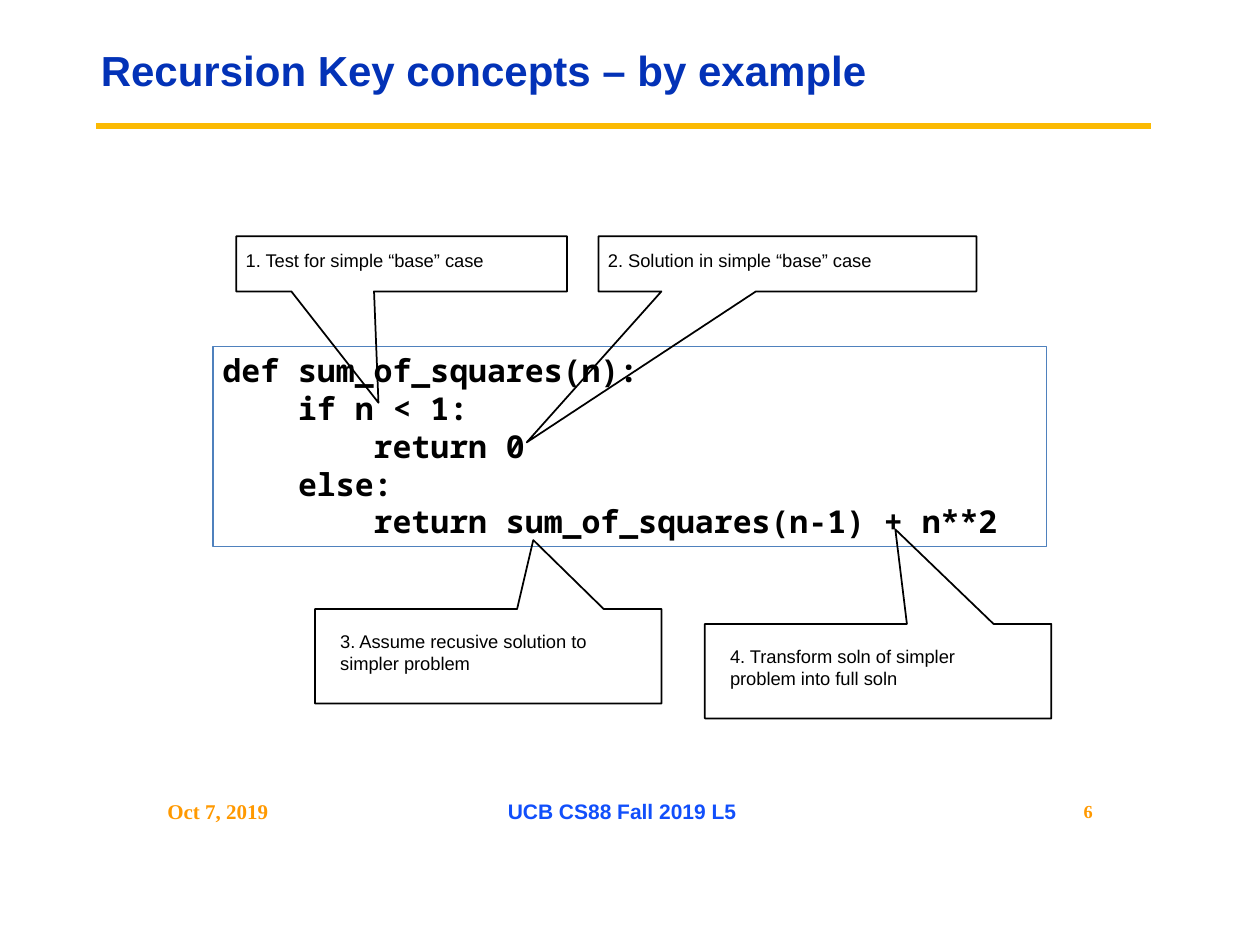
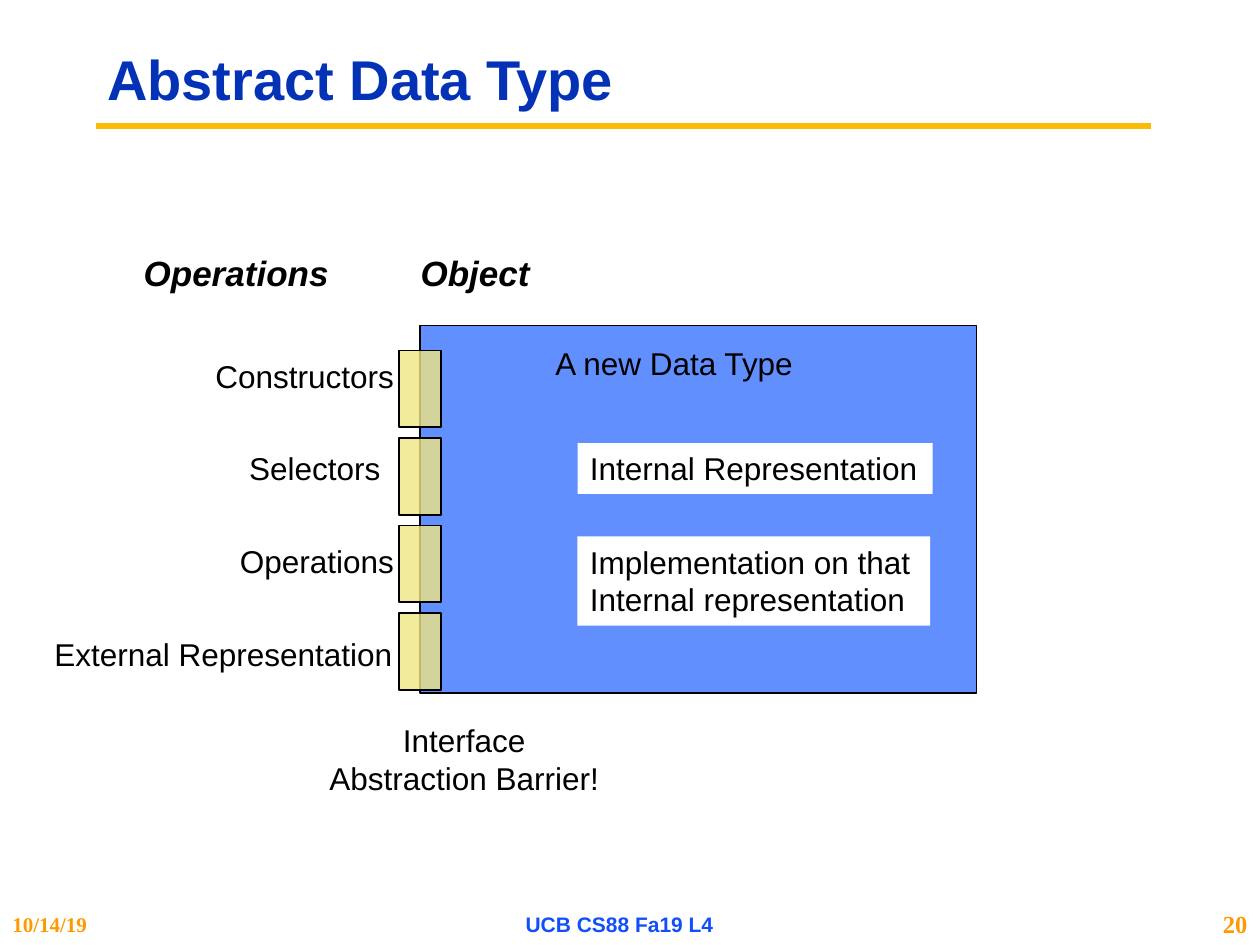
import dataclasses
import pptx
import pptx.dml.color
import pptx.enum.shapes
import pptx.enum.text
import pptx.oxml
import pptx.oxml.ns
import pptx.util

Pt = pptx.util.Pt
Kind = pptx.enum.shapes.MSO_SHAPE
Align = pptx.enum.text.PP_ALIGN
Anchor = pptx.enum.text.MSO_ANCHOR


@dataclasses.dataclass(frozen=True)
class Theme:
    navy: str = "0332B7"
    gold: str = "FBBA03"
    amber: str = "FF9900"
    blue: str = "114FFB"
    steel: str = "4F81BD"
    sky: str = "618FFD"
    cream: str = "EFE683"
    black: str = "000000"
    white: str = "FFFFFF"
    sans: str = "Arial"
    serif: str = "Times New Roman"
    mono: str = "Noto Sans Mono"
    note: float = 10.5
    foot: float = 12
    body: float = 18
    head: float = 20


T = Theme()
BODY = {"name": T.sans, "size": T.body, "color": T.black}
NOTE = {**BODY, "size": T.note}
HEAD = {**BODY, "size": T.head, "bold": True, "italic": True}
CODE = {**BODY, "name": T.mono, "bold": True}
TITLE = {"name": T.sans, "color": T.navy, "bold": True}
DATE = {"name": T.serif, "size": T.foot, "color": T.amber, "bold": True}
FOOT = {**DATE, "name": T.sans, "color": T.blue}
WIDE = (7.2, 3.6)
SLIM = (5.4, 2.7)


def rgb(code):
    return pptx.dml.color.RGBColor.from_string(code)


def apply(item, look):
    for name, value in look.items():
        if name == "color":
            item.color.rgb = rgb(value)
        else:
            setattr(item, name, Pt(value) if name == "size" else value)


def write(shape, text, look, pad=WIDE, align=Align.LEFT, anchor=Anchor.TOP,
          wrap=True, space=None):
    side, top = map(Pt, pad)
    frame = shape.text_frame
    frame.text = text
    apply(frame, {"margin_left": side, "margin_right": side,
                  "margin_top": top, "margin_bottom": top,
                  "vertical_anchor": anchor, "word_wrap": wrap,
                  "auto_size": pptx.enum.text.MSO_AUTO_SIZE.NONE})
    for para in frame.paragraphs:
        apply(para, {"alignment": align, "line_spacing": space})
        for run in para.runs:
            apply(run.font, look)


def label(slide, box, text, look, **form):
    shape = slide.shapes.add_textbox(*map(Pt, box))
    write(shape, text, look, **form)


def block(slide, box, fill=None, line=None, width=1, alpha=None,
          kind=Kind.RECTANGLE):
    shape = slide.shapes.add_shape(kind, *map(Pt, box))
    shape.shadow.inherit = False
    if fill:
        shape.fill.solid()
        shape.fill.fore_color.rgb = rgb(fill)
    else:
        shape.fill.background()
    if line:
        shape.line.color.rgb = rgb(line)
        shape.line.width = Pt(width)
    else:
        shape.line.fill.background()
    if alpha:
        tint = shape.fill._xPr.find(".//" + pptx.oxml.ns.qn("a:srgbClr"))
        tint.append(pptx.oxml.parse_xml(
            f'<a:alpha {pptx.oxml.ns.nsdecls("a")} val="{alpha * 1000}"/>'))
    return shape


def callout(slide, box, text, tip, pad):
    shape = block(slide, box, line=T.black, kind=Kind.RECTANGULAR_CALLOUT)
    for i, value in enumerate(tip):
        shape.adjustments[i] = value
    write(shape, text, NOTE, pad)


def rule(slide):
    line = slide.shapes.add_connector(
        pptx.enum.shapes.MSO_CONNECTOR.STRAIGHT,
        Pt(55), Pt(72), Pt(657.5), Pt(72))
    line.line.color.rgb = rgb(T.gold)
    line.line.width = Pt(3.75)
    line._element.spPr.append(pptx.oxml.parse_xml(
        f'<a:effectLst {pptx.oxml.ns.nsdecls("a")}/>'))


def start(deck, text, box, size, pad):
    slide = deck.slides.add_slide(deck.slide_layouts[5])
    rule(slide)
    title = slide.shapes.title
    apply(title, dict(zip(("left", "top", "width", "height"), map(Pt, box))))
    write(title, text, {**TITLE, "size": size}, pad,
          anchor=Anchor.MIDDLE, space=0.9)
    return slide


def footer(slide, top, height, spans, texts, size, pad):
    looks = (DATE, FOOT, {**DATE, "size": size})
    pads = (pad, WIDE, pad)
    sides = (Align.LEFT, Align.CENTER, Align.RIGHT)
    for (left, width), text, look, inset, side in zip(
            spans, texts, looks, pads, sides):
        label(slide, (left, top, width, height), text, look,
              pad=inset, align=side, anchor=Anchor.MIDDLE)


def squares(deck):
    slide = start(deck, "Recursion Key concepts – by example",
                  (52, 20.25, 454.5, 43), 24, (5.6, 2.8))
    code = block(slide, (121.75, 198, 476.5, 114.5), line=T.steel, width=0.75)
    write(code, "\n".join((
        "def sum_of_squares(n):",
        "    if n < 1:",
        "        return 0",
        "    else:",
        "        return sum_of_squares(n-1) + n**2")), CODE, SLIM)
    notes = (
        ((135, 135, 189, 31.5), "1. Test for simple “base” case",
         (-0.07, 2.52), (5.4, 7.2)),
        ((342, 135, 216, 31.5), "2. Solution in simple “base” case",
         (-0.69, 3.24), (5.4, 7.2)),
        ((180, 348, 198, 54), "3. Assume recusive solution to simpler problem",
         (0.13, -1.23), (14.4, 12)),
        ((402.75, 356.5, 198, 54),
         "4. Transform soln of simpler problem into full soln",
         (0.05, -1.5), (14.4, 12)))
    for note in notes:
        callout(slide, *note)
    footer(slide, 454.5, 18, ((90, 90), (270, 171), (598.5, 31.5)),
           ("Oct 7, 2019", "UCB CS88 Fall 2019 L5", "6"), T.note, (5.6, 2.8))


def types(deck):
    slide = start(deck, "Abstract Data Type", (54, 18, 606, 58.5), 32, WIDE)
    block(slide, (240, 186, 318, 210), T.sky, T.black)
    label(slide, (310.25, 193, 151, 29), "A new Data Type", BODY, wrap=False)
    cards = (
        ((330, 253.25, 203, 29), "Internal Representation"),
        ((330, 306.5, 201.5, 51),
         "Implementation on that\nInternal representation"))
    for box, text in cards:
        write(block(slide, box, T.white), text, BODY, wrap=False)
    heads = ((75, 121, "Operations"), (233.25, 77, "Object"))
    for left, width, text in heads:
        label(slide, (left, 140.25, width, 31.5), text, HEAD, wrap=False)
    ports = (
        (116, 117.5, "Constructors"),
        (135.25, 90, "Selectors"),
        (130, 103.5, "Operations"),
        (24, 209.5, "External Representation"))
    for i, (left, width, text) in enumerate(ports):
        label(slide, (left, 200.25 + 53 * i, width, 29), text, BODY,
              wrap=False)
        block(slide, (228, 200.25 + 50 * i, 24, 44), T.cream, T.black,
              alpha=80)
    label(slide, (160.5, 408.5, 209.5, 51), "Interface\nAbstraction Barrier!",
          BODY, align=Align.CENTER)
    footer(slide, 516, 24, ((0, 120), (240, 228), (678, 42)),
           ("10/14/19", "UCB CS88 Fa19 L4", "20"), 14, WIDE)


def main():
    deck = pptx.Presentation()
    deck.slide_width, deck.slide_height = Pt(720), Pt(540)
    squares(deck)
    types(deck)
    deck.save("out.pptx")


if __name__ == "__main__":
    main()
